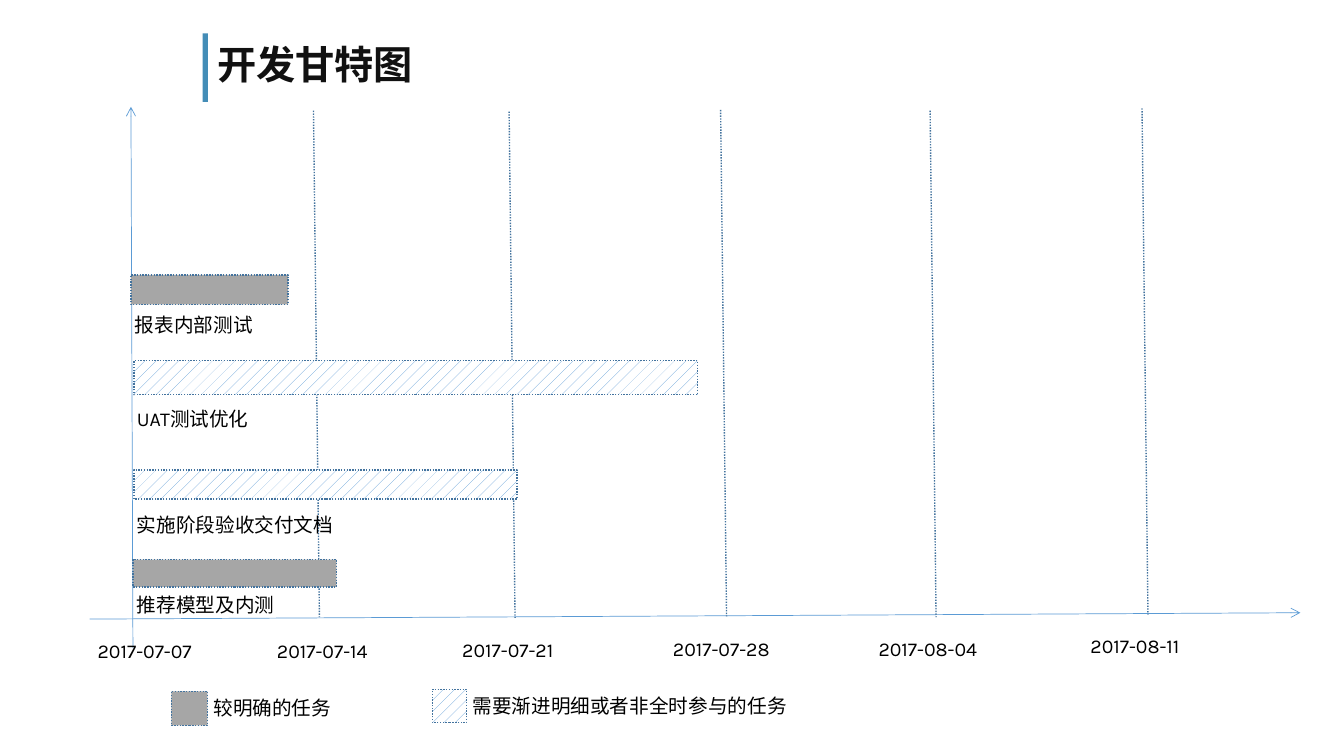
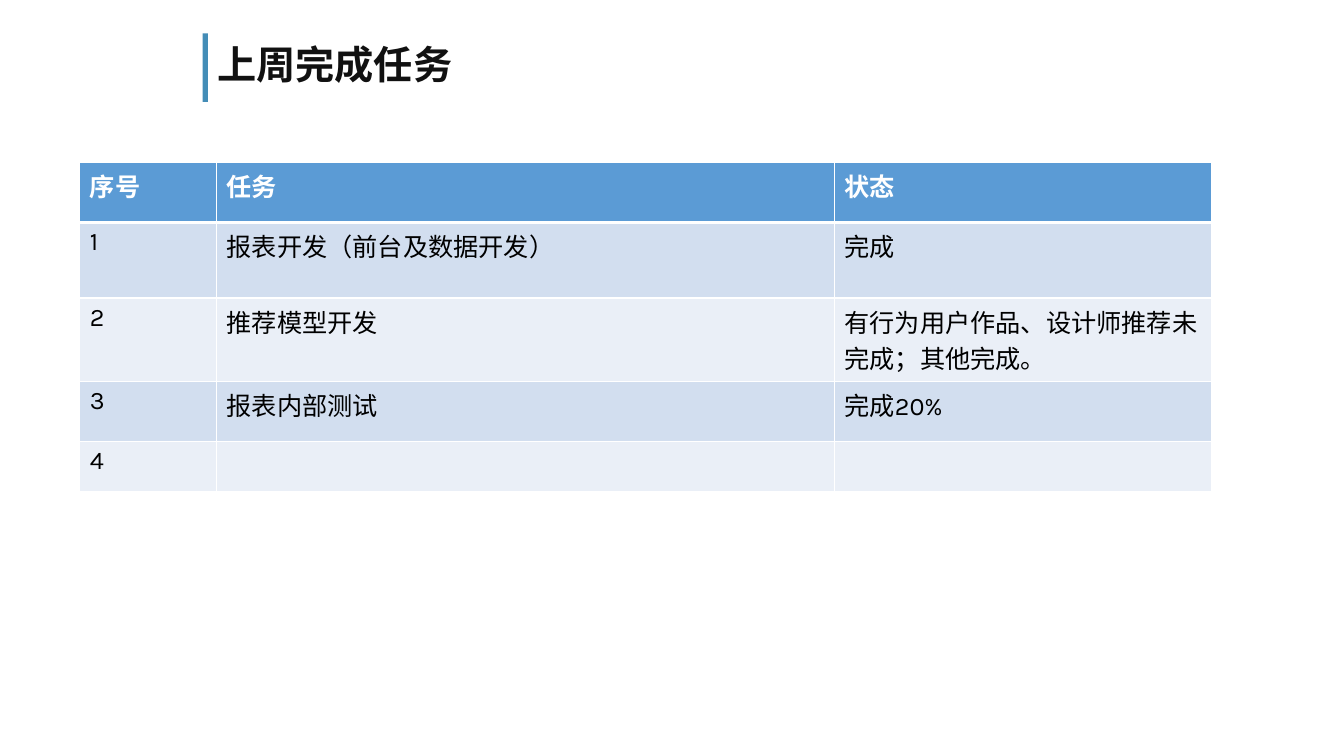
from lxml.etree import SubElement
from pptx import Presentation
from pptx.dml.color import RGBColor
from pptx.enum.dml import MSO_LINE as Dash, MSO_PATTERN as Pattern
from pptx.enum.shapes import MSO_CONNECTOR as Connector, MSO_SHAPE as Shape
from pptx.enum.text import MSO_ANCHOR as Anchor, MSO_AUTO_SIZE as AutoSize
from pptx.oxml.ns import qn
from pptx.util import Cm, Pt

BLUE, DARK_BLUE, ACCENT = "5B9BD5", "43739E", "448DB7"
WHITE, BLACK, TITLE_INK = "FFFFFF", "000000", "111111"
GREY, BAND_DARK, BAND_LIGHT = "A6A6A6", "D2DEEF", "EAEFF7"
LATIN_FONT, CHINESE_FONT = "Karla", "Noto Sans CJK SC"

# Week start, label left and top, guide left and top
WEEKS = [
    ("2017-07-07", 2.21, 15.98, None, None),
    ("2017-07-14", 6.73, 15.98, 7.9, 2.79),
    ("2017-07-21", 11.4, 15.95, 12.83, 2.81),
    ("2017-07-28", 16.71, 15.93, 18.16, 2.77),
    ("2017-08-04", 21.89, 15.93, 23.44, 2.79),
    ("2017-08-11", 27.23, 15.85, 28.78, 2.73),
]
GUIDE_HEIGHT, GUIDE_SLANT = 12.76, 0.15

# Task, is it definite, bar box, label box
TASKS = [
    ("推荐模型及内测", True, (3.35, 14.1, 5.13, 0.69), (3.2, 14.81, 6.32, 0.86)),
    ("报表内部测试", True, (3.3, 6.93, 3.96, 0.74), (3.15, 7.75, 3.58, 0.86)),
    ("UAT测试优化", False, (3.38, 9.09, 14.2, 0.86), (3.2, 10.13, 7.92, 0.86)),
    ("实施阶段验收交付文档", False, (3.38, 11.84, 9.65, 0.74), (3.2, 12.8, 7.92, 0.86)),
]
LEGEND = [
    ("需要渐进明细或者非全时参与的任务", False, (10.9, 17.37, 0.86, 0.84), (11.66, 17.37, 8.51, 0.86)),
    ("较明确的任务", True, (4.32, 17.42, 0.91, 0.86), (5.13, 17.4, 3.68, 0.86)),
]

STATUS_ROWS = [
    ("序号", "任务", "状态"),
    ("1", "报表开发（前台及数据开发）", "完成"),
    ("2", "推荐模型开发", "有行为用户作品、设计师推荐未完成；其他完成。"),
    ("3", "报表内部测试", "完成20%"),
    ("4", "", ""),
]
COLUMN_WIDTHS = [3.45, 15.57, 9.5]
ROW_HEIGHTS = [1.52, 1.9, 1.52, 1.52, 1.27]


def colour(hex_value):
    """Turn a hex string into a colour."""
    return RGBColor.from_string(hex_value)


def cm_box(box):
    """Turn left, top, width and height in centimetres into lengths."""
    return [Cm(value) for value in box]


def write(frame, text, size=14, ink=BLACK, font=LATIN_FONT, bold=False, spacing=None):
    """Write one formatted paragraph into a text frame."""
    paragraph = frame.paragraphs[0]
    paragraph.line_spacing = spacing
    run = paragraph.add_run()
    run.text = text
    run.font.size, run.font.bold, run.font.name = Pt(size), bold, font
    run.font.color.rgb = colour(ink)
    SubElement(run.font._element, qn("a:ea"), typeface=CHINESE_FONT)


def add_label(slide, text, box, anchor=Anchor.TOP, grow=True, **text_format):
    """Add a wrapping text box."""
    frame = slide.shapes.add_textbox(*cm_box(box)).text_frame
    frame.word_wrap = True
    frame.vertical_anchor = anchor
    frame.auto_size = AutoSize.SHAPE_TO_FIT_TEXT if grow else AutoSize.NONE
    write(frame, text, **text_format)


def add_rectangle(slide, box):
    """Add a rectangle without shadow or line."""
    rectangle = slide.shapes.add_shape(Shape.RECTANGLE, *cm_box(box))
    rectangle.shadow.inherit = False
    rectangle.line.fill.background()
    return rectangle


def add_task_bar(slide, box, definite):
    """Add a dotted bar: grey when definite, otherwise patterned."""
    bar = add_rectangle(slide, box)
    if definite:
        bar.fill.solid()
        bar.fill.fore_color.rgb = colour(GREY)
    else:
        bar.fill.patterned()
        bar.fill.pattern = Pattern.PERCENT_10
        bar.fill.fore_color.rgb = colour(BLUE)
        bar.fill.back_color.rgb = colour(WHITE)
    style_line(bar.line, DARK_BLUE, 1, Dash.ROUND_DOT)


def style_line(line, ink, width, dash=None):
    """Set the colour, width and dash of a line."""
    line.color.rgb = colour(ink)
    line.width = Pt(width)
    line.dash_style = dash


def add_line(slide, start, end, ink, width, dash=None, arrow=False):
    """Add a straight line, with an arrowhead at its end if asked."""
    connector = slide.shapes.add_connector(
        Connector.STRAIGHT, *[Cm(value) for value in start + end])
    style_line(connector.line, ink, width, dash)
    properties = connector._element.spPr
    if arrow:
        SubElement(properties.find(qn("a:ln")), qn("a:tailEnd"), type="arrow")
    SubElement(properties, qn("a:effectLst"))


def add_titled_slide(deck, title):
    """Add a blank slide with the shared accent bar and title."""
    slide = deck.slides.add_slide(deck.slide_layouts[6])
    accent = add_rectangle(slide, (5.11, 0.84, 0.13, 1.73))
    accent.fill.solid()
    accent.fill.fore_color.rgb = colour(ACCENT)
    add_label(slide, title, (5.23, 0.84, 23.37, 1.68), anchor=Anchor.MIDDLE, grow=False,
              size=28, ink=TITLE_INK, font=CHINESE_FONT, bold=True, spacing=0.9)
    return slide


def add_border(cell, side, width):
    """Give one side of a cell a white border."""
    edge = SubElement(cell._tc.get_or_add_tcPr(), qn(f"a:ln{side}"), w=str(Pt(width)))
    fill = SubElement(edge, qn("a:solidFill"))
    SubElement(fill, qn("a:srgbClr"), val=WHITE)


def fill_cell(cell, text, row_index):
    """Format one status cell according to its row."""
    header = row_index == 0
    thick_side = {0: "B", 1: "T"}.get(row_index)
    for side in "LRTB":
        add_border(cell, side, 3 if side == thick_side else 1)
    cell.fill.solid()
    band = BAND_DARK if row_index % 2 else BAND_LIGHT
    cell.fill.fore_color.rgb = colour(BLUE if header else band)
    if text:
        write(cell.text_frame, text, size=18, ink=WHITE if header else BLACK, bold=header)


def add_status_table(slide):
    """Add the table of tasks and their status."""
    box = (2.01, 4.09, sum(COLUMN_WIDTHS), sum(ROW_HEIGHTS))
    table = slide.shapes.add_table(
        len(ROW_HEIGHTS), len(COLUMN_WIDTHS), *cm_box(box)).table
    for column, width in zip(table.columns, COLUMN_WIDTHS):
        column.width = Cm(width)
    for row_index, (row, height) in enumerate(zip(table.rows, ROW_HEIGHTS)):
        row.height = Cm(height)
        for cell, text in zip(row.cells, STATUS_ROWS[row_index]):
            fill_cell(cell, text, row_index)


def add_gantt(slide):
    """Draw the axes, weekly guides, tasks and legend."""
    add_line(slide, (3.35, 16.33), (3.3, 2.69), BLUE, 0.5, arrow=True)
    add_line(slide, (2.26, 15.6), (32.77, 15.44), BLUE, 0.5, arrow=True)
    for date, label_left, label_top, guide_left, guide_top in WEEKS:
        if guide_left is not None:
            foot = (guide_left + GUIDE_SLANT, guide_top + GUIDE_HEIGHT)
            add_line(slide, (guide_left, guide_top), foot, DARK_BLUE, 1, Dash.ROUND_DOT)
        add_label(slide, date, (label_left, label_top, 4.52, 0.86))
    for name, definite, bar_box, label_box in TASKS + LEGEND:
        add_task_bar(slide, bar_box, definite)
        add_label(slide, name, label_box)


def main():
    """Build and save the two slides."""
    deck = Presentation()
    deck.slide_width, deck.slide_height = Cm(33.87), Cm(19.05)
    add_gantt(add_titled_slide(deck, "开发甘特图"))
    add_status_table(add_titled_slide(deck, "上周完成任务"))
    deck.save("out.pptx")


main()
